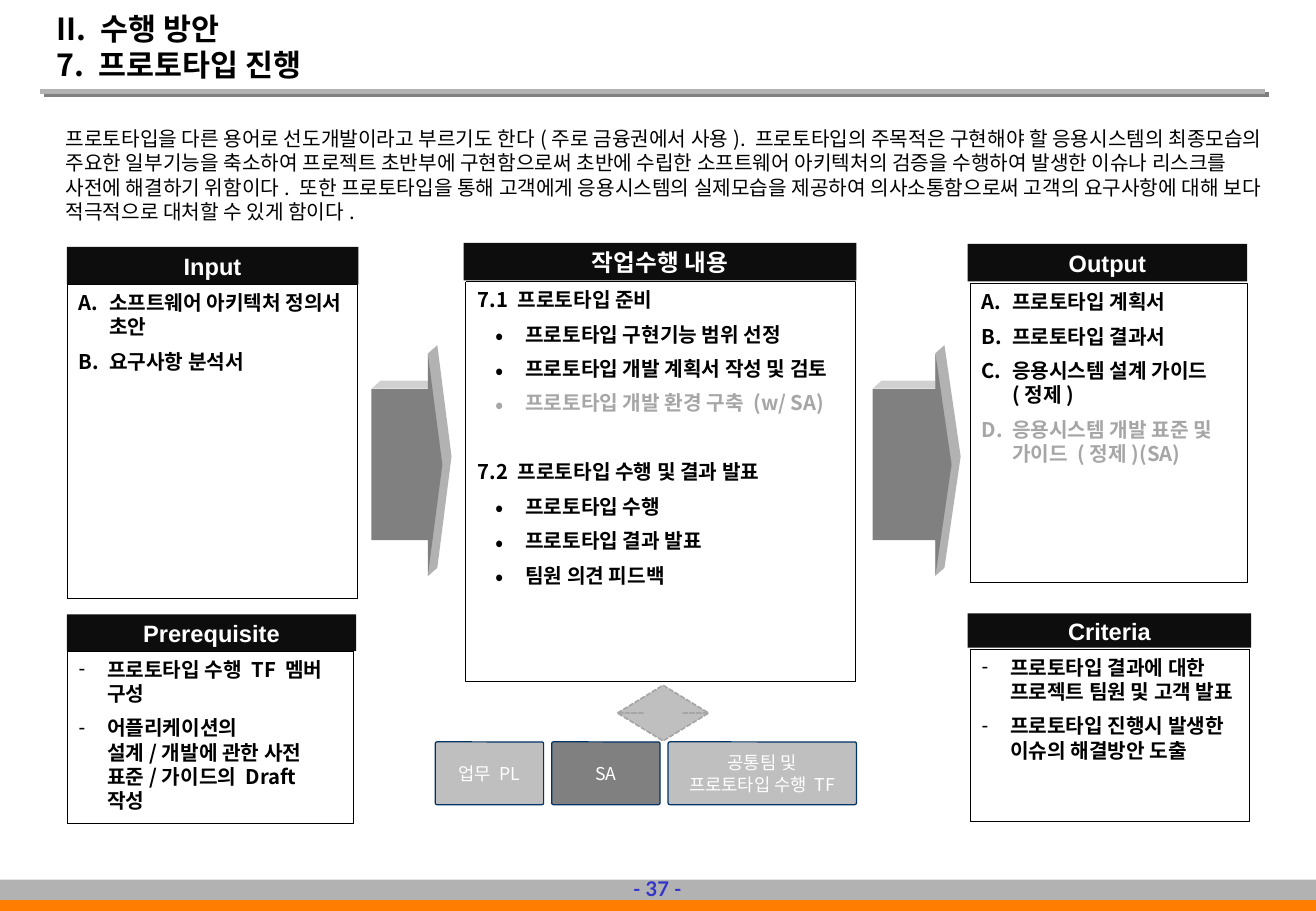
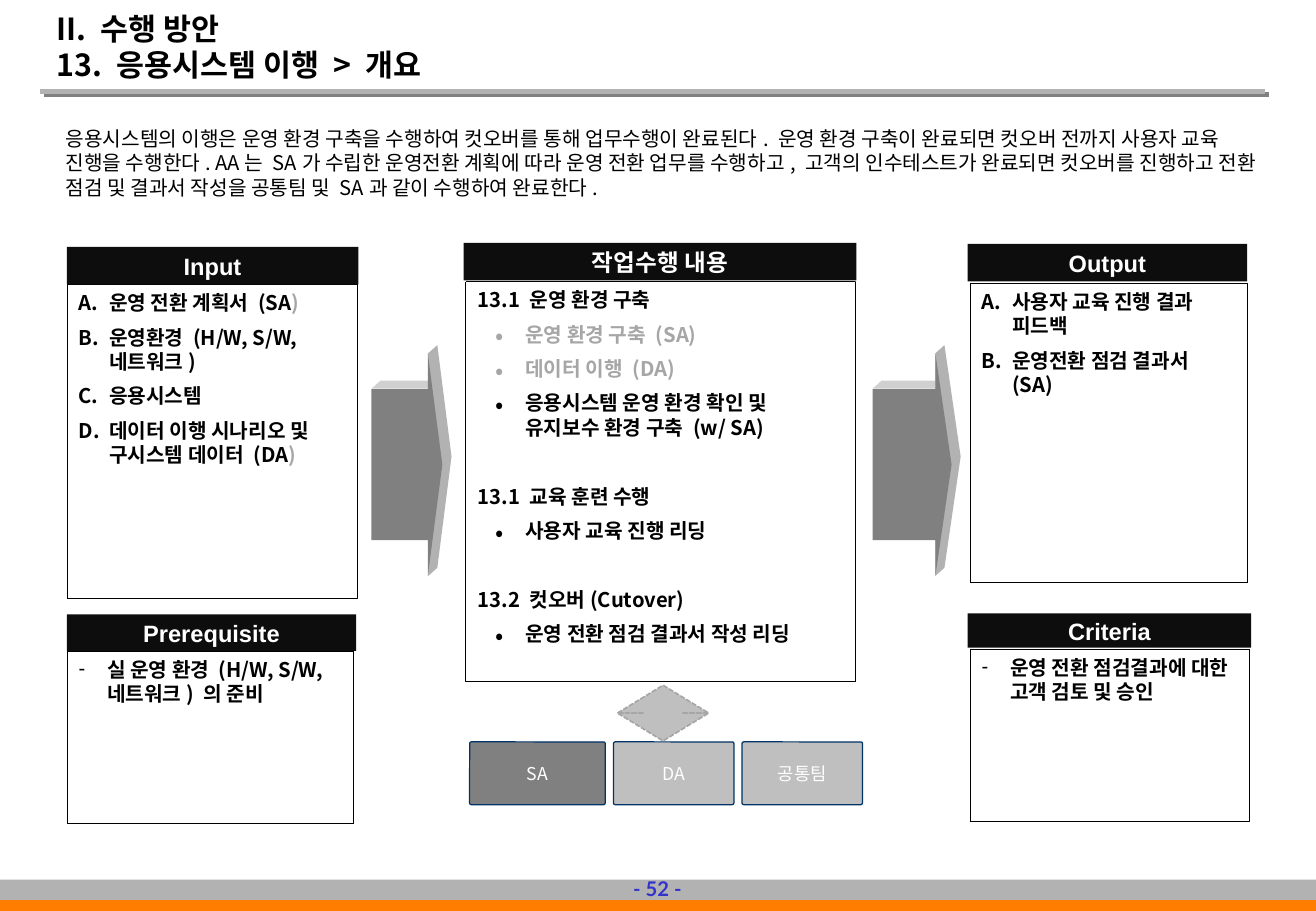
from itertools import accumulate

from lxml.etree import SubElement
from pptx import Presentation
from pptx.dml.color import RGBColor
from pptx.enum.dml import MSO_LINE
from pptx.enum.shapes import MSO_CONNECTOR, MSO_SHAPE
from pptx.enum.text import MSO_ANCHOR, MSO_AUTO_SIZE, PP_ALIGN
from pptx.oxml import parse_xml
from pptx.oxml.ns import nsdecls, qn
from pptx.util import Pt

PX = 7620  # 120 px to the inch
SLIDE_SIZE = (1300, 900)

BLACK = RGBColor(0x00, 0x00, 0x00)
WHITE = RGBColor(0xFF, 0xFF, 0xFF)
HEADER_BLACK = RGBColor(0x0D, 0x0D, 0x0D)
DARK = RGBColor(0x80, 0x80, 0x80)
MUTED = RGBColor(0xA6, 0xA6, 0xA6)
BAND = RGBColor(0xB2, 0xB2, 0xB2)
LIGHT = RGBColor(0xBF, 0xBF, 0xBF)
BEVEL = RGBColor(0xD0, 0xD0, 0xD0)
ORANGE = RGBColor(0xFF, 0x7D, 0x00)
NAVY = RGBColor(0x00, 0x33, 0x66)
PAGE_BLUE = RGBColor(0x33, 0x33, 0xCC)
KOREAN = "Noto Sans CJK KR"

SECTION = "II. 수행 방안"
BANDS = [((0, 881, 1300, 19), ORANGE), ((0, 869, 1300, 20), BAND)]
TITLE_BOX = (44, 28, 967, 60)
INTRO_BOX = (53, 119, 1206, 138)
PAGE_BOX = (614, 859, 71, 37)

# panel: heading, heading font, heading box, list box, list style
PANELS = {
    "tasks": ("작업수행 내용", KOREAN, (458, 240, 388, 37), (460, 278, 385, 395), "bullet"),
    "input": ("Input", "Arial", (66, 244, 288, 37), (66, 281, 287, 310), "letter"),
    "output": ("Output", "Arial", (956, 241, 276, 37), (958, 280, 274, 295), "letter"),
    "prerequisite": ("Prerequisite", "Arial", (66, 607, 286, 36), (66, 643, 283, 170), "dash"),
    "criteria": ("Criteria", "Arial", (956, 606, 280, 34), (958, 641, 276, 170), "dash"),
}
FLOW_ARROWS = [(367, 349, 70, 220), (862, 349, 78, 220)]
ARROW_ADJUSTS = (0.678, 0.205)
ARROW_DEPTH = (9, -8)
EXCHANGE_BOX = (610, 677, 90, 55)
ROLE_TOP, ROLE_HEIGHT, ROLE_GAP = 733, 62, 8

# list style: left margin, hanging indent, bullet tags
LIST_STYLES = {
    "heading": (30, 30, [("buNone", {})]),
    "bullet": (47, 30, [("buSzPct", {"val": "120000"}), ("buFont", {"typeface": KOREAN}),
                        ("buChar", {"char": "•"})]),
    "letter": (30, 30, [("buAutoNum", {"type": "alphaUcPeriod"})]),
    "dash": (28, 28, [("buFont", {"typeface": "Arial"}), ("buChar", {"char": "-"})]),
}

# A list item is a text, or a (black part, muted part) pair.
# Tasks are (heading, items) groups; roles are (text, width, fill).
SLIDES = [
    {
        "title": "7. 프로토타입 진행",
        "page": "- 37 -",
        "intro": "프로토타입을 다른 용어로 선도개발이라고 부르기도 한다(주로 금융권에서 사용). "
                 "프로토타입의 주목적은 구현해야 할 응용시스템의 최종모습의 주요한 일부기능을 축소하여 "
                 "프로젝트 초반부에 구현함으로써 초반에 수립한 소프트웨어 아키텍처의 검증을 수행하여 "
                 "발생한 이슈나 리스크를 사전에 해결하기 위함이다. 또한 프로토타입을 통해 고객에게 "
                 "응용시스템의 실제모습을 제공하여 의사소통함으로써 고객의 요구사항에 대해 보다 "
                 "적극적으로 대처할 수 있게 함이다.",
        "tasks": [
            ("7.1 프로토타입 준비", ["프로토타입 구현기능 범위 선정",
                              "프로토타입 개발 계획서 작성 및 검토",
                              ("", "프로토타입 개발 환경 구축 (w/ SA)")]),
            ("7.2 프로토타입 수행 및 결과 발표", ["프로토타입 수행", "프로토타입 결과 발표",
                                      "팀원 의견 피드백"]),
        ],
        "input": ["소프트웨어 아키텍처 정의서 초안", "요구사항 분석서"],
        "output": ["프로토타입 계획서", "프로토타입 결과서", "응용시스템 설계 가이드 (정제)",
                   ("", "응용시스템 개발 표준 및 가이드 (정제)(SA)")],
        "prerequisite": ["프로토타입 수행 TF 멤버 구성",
                         "어플리케이션의 설계/개발에 관한 사전 표준/가이드의 Draft 작성"],
        "criteria": ["프로토타입 결과에 대한 프로젝트 팀원 및 고객 발표",
                     "프로토타입 진행시 발생한 이슈의 해결방안 도출"],
        "roles_left": 430,
        "roles": [("업무 PL", 107, LIGHT), ("SA", 107, DARK),
                  ("공통팀 및\n프로토타입 수행 TF", 186, LIGHT)],
    },
    {
        "title": "13. 응용시스템 이행 > 개요",
        "page": "- 52 -",
        "intro": "응용시스템의 이행은 운영 환경 구축을 수행하여 컷오버를 통해 업무수행이 완료된다. "
                 "운영 환경 구축이 완료되면 컷오버 전까지 사용자 교육 진행을 수행한다. AA는 SA가 "
                 "수립한 운영전환 계획에 따라 운영 전환 업무를 수행하고, 고객의 인수테스트가 완료되면 "
                 "컷오버를 진행하고 전환 점검 및 결과서 작성을 공통팀 및 SA과 같이 수행하여 완료한다.",
        "tasks": [
            ("13.1 운영 환경 구축", [("", "운영 환경 구축 (SA)"), ("", "데이터 이행 (DA)"),
                               "응용시스템 운영 환경 확인 및 유지보수 환경 구축 (w/ SA)"]),
            ("13.1 교육 훈련 수행", ["사용자 교육 진행 리딩"]),
            ("13.2 컷오버(Cutover)", ["운영 전환 점검 결과서 작성 리딩"]),
        ],
        "input": [("운영 전환 계획서 (SA", ")"), "운영환경 (H/W, S/W, 네트워크)", "응용시스템",
                  ("데이터 이행 시나리오 및 구시스템 데이터 (DA", ")")],
        "output": ["사용자 교육 진행 결과 피드백", "운영전환 점검 결과서 (SA)"],
        "prerequisite": ["실 운영 환경 (H/W, S/W, 네트워크) 의 준비"],
        "criteria": ["운영 전환 점검결과에 대한 고객 검토 및 승인"],
        "roles_left": 464,
        "roles": [("SA", 134, DARK), ("DA", 119, LIGHT), ("공통팀", 119, LIGHT)],
    },
]


def emu(box):
    return [length * PX for length in box]


def place(shape, box):
    shape.left, shape.top, shape.width, shape.height = emu(box)


def paint(shape, fill=None, line=None, width=0.75, dash=None):
    shape.shadow.inherit = False
    if fill is None:
        shape.fill.background()
    else:
        shape.fill.solid()
        shape.fill.fore_color.rgb = fill
    if line is None:
        shape.line.fill.background()
    else:
        shape.line.color.rgb = line
        shape.line.width = Pt(width)
        if dash is not None:
            shape.line.dash_style = dash


def add_preset(slide, preset, box, adjusts=(), **look):
    shape = slide.shapes.add_shape(preset, *emu(box))
    for i, value in enumerate(adjusts):
        shape.adjustments[i] = value
    paint(shape, **look)
    return shape


def add_outline(slide, points, fill):
    builder = slide.shapes.build_freeform(*points[0], scale=PX)
    builder.add_line_segments(points[1:])
    paint(builder.convert_to_shape(), fill)


def style_run(run, size, color, bold, font=KOREAN):
    run.font.size, run.font.bold, run.font.name = Pt(size), bold, font
    run.font.color.rgb = color
    SubElement(run.font._element, qn("a:ea")).set("typeface", font)


def write(shape, text, size, color, bold=False, font=KOREAN,
          align=PP_ALIGN.LEFT, anchor=MSO_ANCHOR.TOP, wrap=True, inset=None):
    frame = shape.text_frame
    frame.text = text
    frame.word_wrap, frame.vertical_anchor = wrap, anchor
    frame.auto_size = MSO_AUTO_SIZE.NONE
    if inset is not None:
        frame.margin_left = frame.margin_right = inset * PX
        frame.margin_top = frame.margin_bottom = inset * PX
    for paragraph in frame.paragraphs:
        paragraph.alignment = align
        paragraph.line_spacing = Pt(size * 1.2)
        paragraph.space_before = Pt(0)
        for run in paragraph.runs:
            style_run(run, size, color, bold, font)


def write_list(shape, entries):
    """Fill a panel from (list style, item, space before) entries."""
    frame = shape.text_frame
    frame.word_wrap, frame.vertical_anchor = True, MSO_ANCHOR.TOP
    frame.auto_size = MSO_AUTO_SIZE.NONE
    for i, (style, item, space) in enumerate(entries):
        paragraph = frame.add_paragraph() if i else frame.paragraphs[0]
        margin, hanging, bullet = LIST_STYLES[style]
        properties = paragraph._p.get_or_add_pPr()
        properties.set("marL", str(margin * PX))
        properties.set("indent", str(-hanging * PX))
        for tag, attributes in bullet:
            SubElement(properties, qn("a:" + tag), attributes)
        paragraph.alignment = PP_ALIGN.LEFT
        paragraph.line_spacing = Pt(14.4)
        paragraph.space_before = Pt(space if i else 0)
        black, muted = (item, "") if isinstance(item, str) else item
        for part, color in ((black, BLACK), (muted, MUTED)):
            if part:
                run = paragraph.add_run()
                run.text = part
                style_run(run, 12, color, True)


def task_entries(groups):
    for heading, items in groups:
        yield "heading", heading, 26.4
        for item in items:
            yield "bullet", item, 6


def add_panel(slide, key, content):
    heading, font, head_box, list_box, style = PANELS[key]
    if key == "tasks":
        panel = slide.placeholders[1]
        place(panel, list_box)
        panel.fill.background()
        panel.line.color.rgb = BLACK
        panel.line.width, panel.line.dash_style = Pt(0.25), MSO_LINE.ROUND_DOT
        entries = task_entries(content)
    else:
        panel = add_preset(slide, MSO_SHAPE.RECTANGLE, list_box,
                           line=BLACK, width=0.25, dash=MSO_LINE.ROUND_DOT)
        entries = [(style, item, 6) for item in content]
    write_list(panel, entries)
    header = add_preset(slide, MSO_SHAPE.RECTANGLE, head_box, fill=HEADER_BLACK)
    write(header, heading, 14, WHITE, True, font, PP_ALIGN.CENTER, MSO_ANCHOR.MIDDLE, inset=0)


def add_flow_arrow(slide, box):
    """Right arrow with a raised edge on its top and tip."""
    left, top, width, height = box
    dx, dy = ARROW_DEPTH
    neck = left + width - round(ARROW_ADJUSTS[1] * width)
    shaft = top + round(height * (1 - ARROW_ADJUSTS[0]) / 2)
    tip, middle, bottom = left + width, top + height // 2, top + height
    add_outline(slide, [(left, shaft), (left + dx, shaft + dy),
                        (neck, shaft + dy), (neck, shaft)], BEVEL)
    add_outline(slide, [(neck, top), (neck + dx, top + dy), (tip + dx, middle + dy),
                        (neck + dx, bottom + dy), (neck, bottom)], BAND)
    add_preset(slide, MSO_SHAPE.RIGHT_ARROW, box, ARROW_ADJUSTS, fill=DARK)


def add_roles(slide, left, roles):
    lefts = accumulate((width + ROLE_GAP for _, width, _ in roles), initial=left)
    for x, (text, width, fill) in zip(lefts, roles):
        role = add_preset(slide, MSO_SHAPE.ROUNDED_RECTANGLE, (x, ROLE_TOP, width, ROLE_HEIGHT),
                          (0.028,), fill=fill, line=NAVY)
        write(role, text, 10.5, WHITE, align=PP_ALIGN.CENTER, anchor=MSO_ANCHOR.MIDDLE)


def move_frame_to_layout(slide):
    """Draw the title rule and footer bands, then hand them to the layout."""
    rule = slide.shapes.add_connector(MSO_CONNECTOR.STRAIGHT, *emu((40, 90, 1250, 90)))
    rule.line.color.rgb, rule.line.width = BAND, Pt(3)
    rule.element.spPr.append(parse_xml(
        f'<a:effectLst {nsdecls("a")}><a:outerShdw dist="35560" dir="2700000" algn="ctr" '
        f'rotWithShape="0"><a:srgbClr val="{DARK}"/></a:outerShdw></a:effectLst>'))
    bands = [add_preset(slide, MSO_SHAPE.RECTANGLE, box, fill=fill) for box, fill in BANDS]
    for number, shape in enumerate([rule, *bands], start=101):
        shape.element.xpath(".//p:cNvPr")[0].set("id", str(number))
        slide.slide_layout.shapes.element.append(shape.element)


def build_slide(slide, content):
    title = slide.shapes.title
    place(title, TITLE_BOX)
    write(title, SECTION + "\n" + content["title"], 18, BLACK, True, anchor=MSO_ANCHOR.BOTTOM)
    intro = slide.shapes.add_textbox(*emu(INTRO_BOX))
    write(intro, content["intro"], 12, BLACK)
    for key in PANELS:
        add_panel(slide, key, content[key])
    for box in FLOW_ARROWS:
        add_flow_arrow(slide, box)
    add_preset(slide, MSO_SHAPE.UP_DOWN_ARROW, EXCHANGE_BOX, (0.608, 0.416),
               fill=LIGHT, line=MUTED, width=1, dash=MSO_LINE.SQUARE_DOT)
    add_roles(slide, content["roles_left"], content["roles"])
    page = slide.shapes.add_textbox(*emu(PAGE_BOX))
    write(page, content["page"], 12, PAGE_BLUE, True, "Lato", PP_ALIGN.CENTER,
          MSO_ANCHOR.MIDDLE, wrap=False, inset=7)


def main():
    deck = Presentation()
    deck.slide_width, deck.slide_height = emu(SLIDE_SIZE)
    layout = deck.slide_layouts[1]
    for i, content in enumerate(SLIDES):
        slide = deck.slides.add_slide(layout)
        if i == 0:
            move_frame_to_layout(slide)
        build_slide(slide, content)
    deck.save("out.pptx")


if __name__ == "__main__":
    main()
